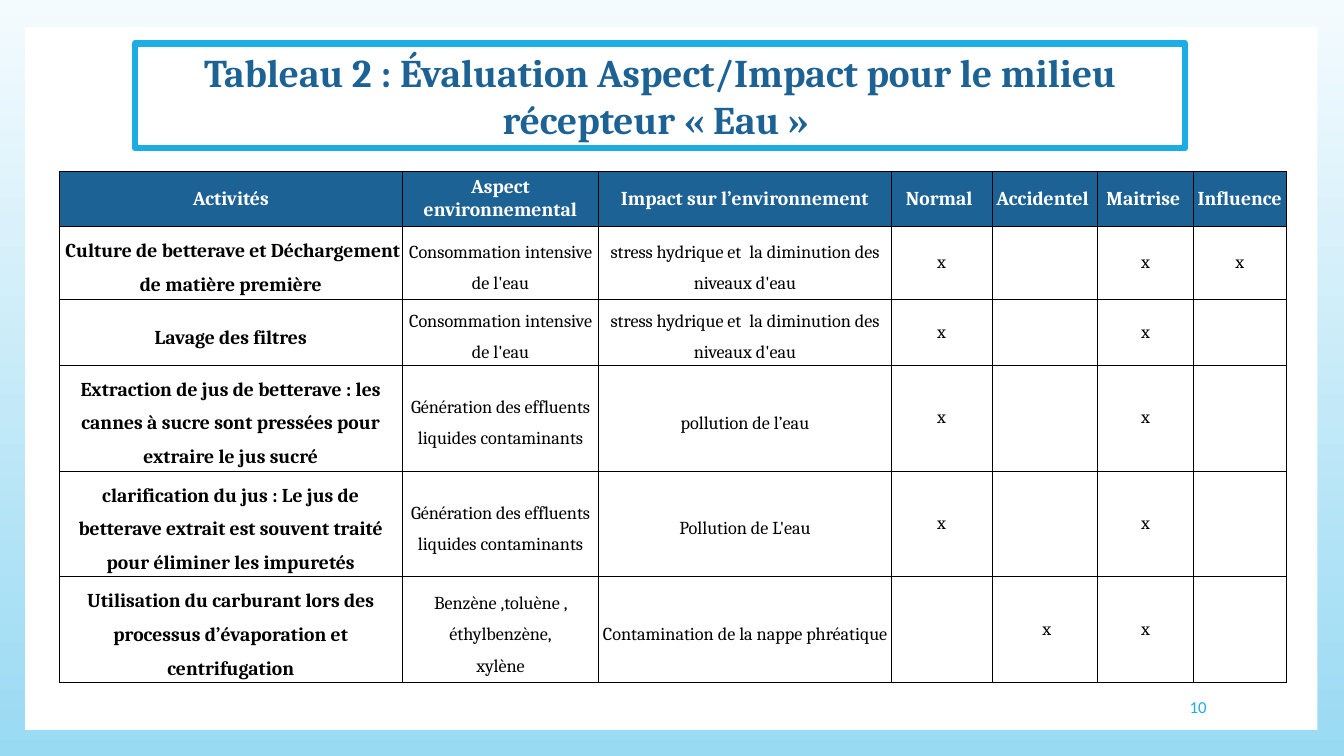
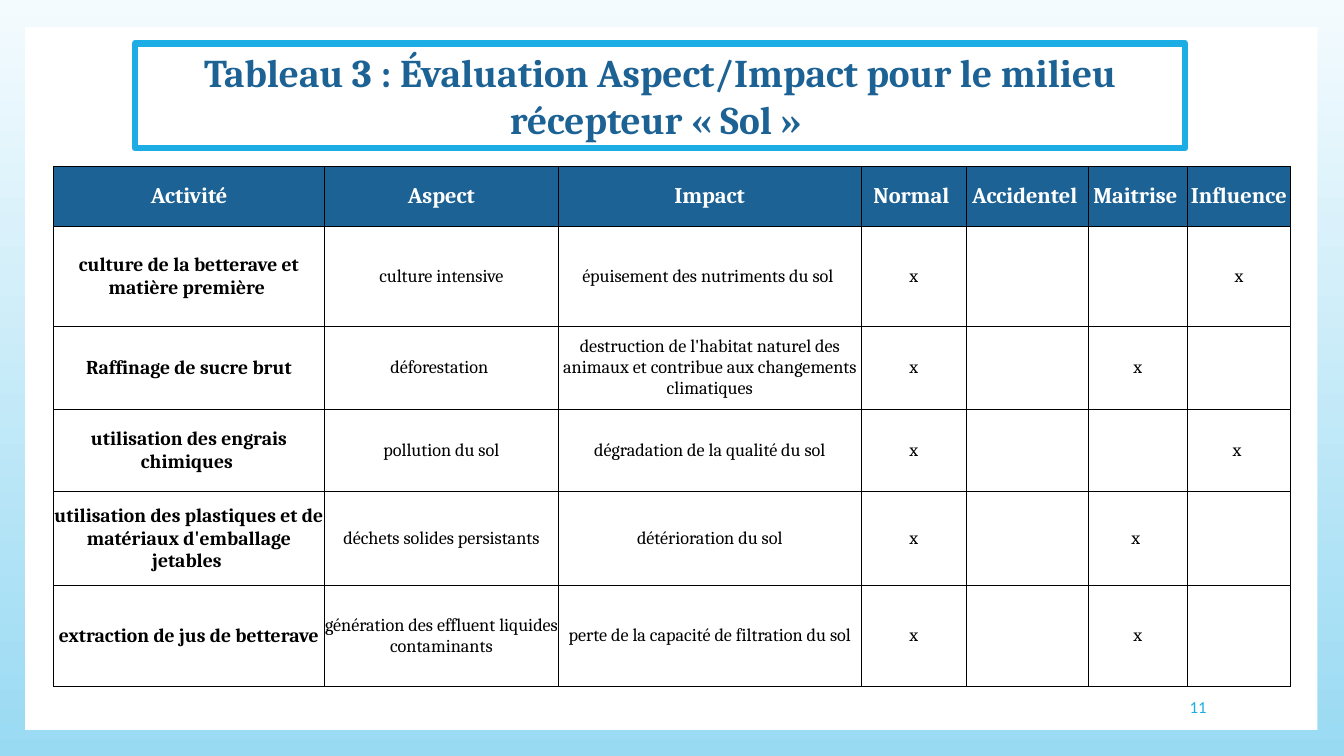
from lxml import etree
from pptx import Presentation
from pptx.dml.color import RGBColor
from pptx.enum.shapes import MSO_SHAPE
from pptx.enum.text import MSO_ANCHOR as ANCHOR, PP_ALIGN as ALIGN
from pptx.oxml import parse_xml
from pptx.oxml.ns import nsdecls
from pptx.util import Pt

# Shared look
BLUE, CYAN, BLACK, WHITE = "1D6294", "1CADE4", "000000", "FFFFFF"
SKY_TOP, SKY_BOTTOM = "F4FBFE", "99DAF3"
color = RGBColor.from_string


def write(frame, text, size, font="Cambria", ink=BLACK, bold=False,
          align=ALIGN.CENTER, spacing=None):
    """Fill a text frame, one paragraph per line of text."""
    frame.word_wrap = True
    for index, line in enumerate(text.split("\n")):
        paragraph = frame.add_paragraph() if index else frame.paragraphs[0]
        paragraph.alignment = align
        if spacing:
            paragraph.line_spacing = spacing
        run = paragraph.add_run()
        run.text = line
        run.font.name, run.font.size, run.font.bold = font, Pt(size), bold
        run.font.color.rgb = color(ink)


def add_box(slide, left, top, width, height, line=None):
    """Add a white rectangle, with a cyan frame of the given width if any."""
    shape = slide.shapes.add_shape(
        MSO_SHAPE.RECTANGLE, Pt(left), Pt(top), Pt(width), Pt(height))
    shape.shadow.inherit = False
    shape.fill.solid()
    shape.fill.fore_color.rgb = color(WHITE)
    if line:
        shape.line.color.rgb = color(CYAN)
        shape.line.width = Pt(line)
        etree.SubElement(shape.line._get_or_add_ln(),
                         "{http://schemas.openxmlformats.org/drawingml/2006/main}round")
    else:
        shape.line.fill.background()
    return shape


# Content of the slides
MARKS = ["Normal ", "Accidentel ", "Maitrise ", "Influence"]
STRESS = "stress hydrique et  la diminution des niveaux d'eau"
INTENSIVE = "Consommation intensive de l'eau"
EFFLUENTS = "Génération des effluents liquides contaminants"

SLIDES = [
    {
        "number": "10",
        "title": "Tableau 2 : Évaluation Aspect/Impact pour le milieu récepteur « Eau » ",
        "origin": (42.5, 122.4),
        "columns": [244.8, 140.4, 208.8, 72, 75.6, 68.4, 66.2],
        "heights": [39, 52.5, 41, 64, 68.5, 64],
        "header_size": 14,
        "spacing": 1.5,
        "rows": [
            ["Activités", "Aspect environnemental", "Impact sur l’environnement", *MARKS],
            [" Culture de betterave et Déchargement de matière première",
             INTENSIVE, STRESS, "x", "", "x", "x"],
            ["Lavage des filtres", INTENSIVE, STRESS, "x", "", "x", ""],
            ["Extraction de jus de betterave : les cannes à sucre sont pressées "
             "pour extraire le jus sucré",
             EFFLUENTS, "pollution de l’eau", "x", "", "x", ""],
            ["clarification du jus : Le jus de betterave extrait est souvent traité "
             "pour éliminer les impuretés",
             EFFLUENTS, "Pollution de L'eau", "x", "", "x", ""],
            ["Utilisation du carburant lors des processus d’évaporation et centrifugation",
             "Benzène ,toluène , éthylbenzène,\nxylène",
             "Contamination de la nappe phréatique", "", " x", "x", ""],
        ],
    },
    {
        "number": "11",
        "title": "Tableau 3 : Évaluation Aspect/Impact pour le milieu récepteur « Sol » ",
        "origin": (38.2, 118.8),
        "columns": [193.7, 166.7, 216.7, 75, 87, 71, 73.5],
        "heights": [43, 71.5, 59, 59, 67.2, 71.5],
        "header_size": 16,
        "spacing": None,
        "rows": [
            ["Activité", "Aspect", "Impact", *MARKS],
            ["culture de la betterave et matière première ", "culture intensive",
             "épuisement des nutriments du sol ", "x", "", "", "x"],
            ["Raffinage de sucre brut", "déforestation ",
             "destruction de l'habitat naturel des animaux et contribue aux "
             "changements climatiques", "x", "", "x", ""],
            ["utilisation des engrais chimiques ", "pollution du sol",
             "dégradation de la qualité du sol", "x", "", "", "x "],
            ["utilisation des plastiques et de matériaux d'emballage jetables ",
             "déchets solides persistants", "détérioration du sol", "x", "", "x ", ""],
            ["extraction de jus de betterave",
             "génération des effluent liquides contaminants",
             "perte de la capacité de filtration du sol", "x", "", "x", ""],
        ],
    },
]

presentation = Presentation()
presentation.slide_width, presentation.slide_height = Pt(960), Pt(540)

# Sky gradient, shared through the master
sky = presentation.slide_master.background.fill
sky.gradient()
sky.gradient_angle = 270
for stop, shade in zip(sky.gradient_stops, (SKY_TOP, SKY_BOTTOM)):
    stop.color.rgb = color(shade)

for content in SLIDES:
    slide = presentation.slides.add_slide(presentation.slide_layouts[6])

    # White page, slide number and framed title
    add_box(slide, 18, 19.4, 923, 502)
    number = slide.shapes.add_textbox(Pt(734.4), Pt(490.3), Pt(134.6), Pt(28.8))
    number.text_frame.vertical_anchor = ANCHOR.MIDDLE
    write(number.text_frame, content["number"], 12, font="Calibri", ink=CYAN,
          align=ALIGN.RIGHT)
    title = add_box(slide, 96.5, 31, 750, 75, line=4.5)
    title.text_frame.vertical_anchor = ANCHOR.TOP
    write(title.text_frame, content["title"], 28, ink=BLUE, bold=True)

    # Table frame
    rows, columns, heights = content["rows"], content["columns"], content["heights"]
    left, top = content["origin"]
    table = slide.shapes.add_table(
        len(rows), len(columns), Pt(left), Pt(top),
        Pt(sum(columns)), Pt(sum(heights))).table
    table.first_row = table.horz_banding = False
    for column, width in zip(table.columns, columns):
        column.width = Pt(width)
    for row, height in zip(table.rows, heights):
        row.height = Pt(height)

    # Cells: blue header, bold activities, spaced wording, plain marks
    for row_index, texts in enumerate(rows):
        for column_index, text in enumerate(texts):
            cell = table.cell(row_index, column_index)
            cell.vertical_anchor = ANCHOR.MIDDLE
            cell.margin_left = cell.margin_right = 0
            cell.margin_top = cell.margin_bottom = 0
            for side in ("lnL", "lnR", "lnT", "lnB"):
                cell._tc.get_or_add_tcPr().append(parse_xml(
                    f'<a:{side} {nsdecls("a")} w="6350"><a:solidFill>'
                    f'<a:srgbClr val="{BLACK}"/></a:solidFill></a:{side}>'))
            if row_index == 0:
                cell.fill.solid()
                cell.fill.fore_color.rgb = color(BLUE)
                write(cell.text_frame, text, content["header_size"], ink=WHITE, bold=True)
                continue
            cell.fill.background()
            if text:
                is_activity = column_index == 0
                write(cell.text_frame, text, 14 if is_activity else 13, bold=is_activity,
                      spacing=content["spacing"] if column_index < 3 else None)

presentation.save("out.pptx")
